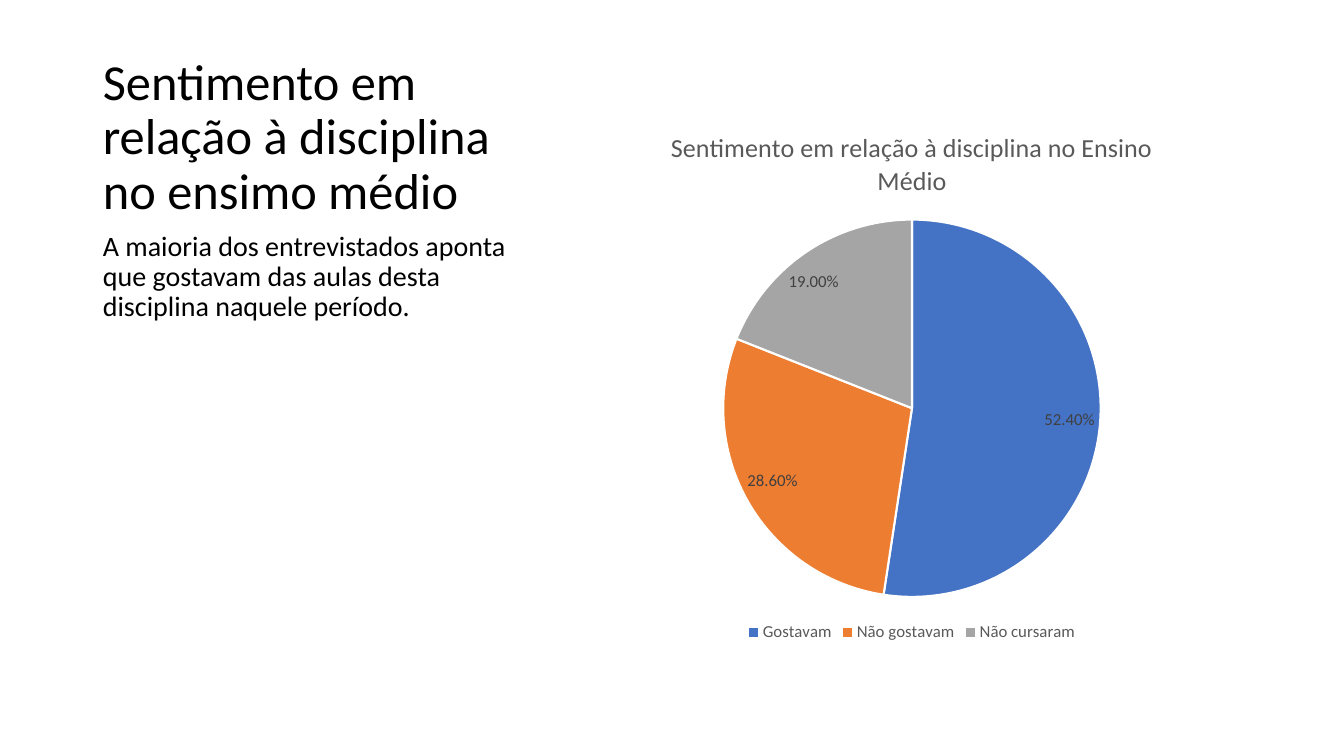
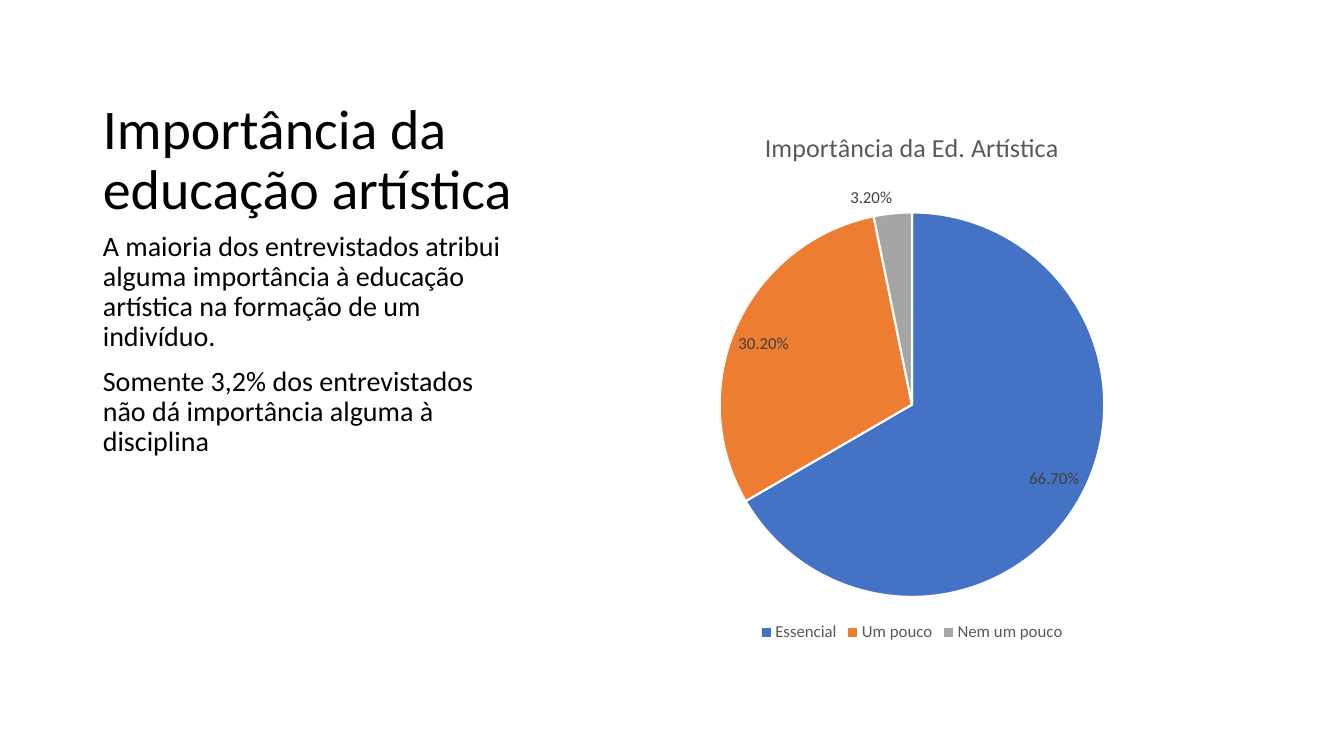
from dataclasses import dataclass

from pptx import Presentation
from pptx.chart.data import CategoryChartData
from pptx.dml.color import RGBColor
from pptx.enum.chart import XL_CHART_TYPE, XL_LABEL_POSITION, XL_LEGEND_POSITION
from pptx.enum.text import MSO_ANCHOR, MSO_AUTO_SIZE, PP_ALIGN
from pptx.util import Inches, Pt

PIE = XL_CHART_TYPE.PIE
BEST_FIT = XL_LABEL_POSITION.BEST_FIT
LEGEND_BOTTOM = XL_LEGEND_POSITION.BOTTOM
MIDDLE, BOTTOM, TOP = MSO_ANCHOR.MIDDLE, MSO_ANCHOR.BOTTOM, MSO_ANCHOR.TOP
LEFT = PP_ALIGN.LEFT
NO_AUTOFIT = MSO_AUTO_SIZE.NONE

SLIDES = [
    {
        "title": "Sentimento em relação à disciplina no ensimo médio",
        "title_size": 36,
        "title_anchor": MIDDLE,
        "body": [
            "A maioria dos entrevistados aponta que gostavam das aulas desta "
            "disciplina naquele período.",
        ],
        "chart_title": "Sentimento em relação à disciplina no Ensino Médio",
        "answers": {"Gostavam": 0.524, "Não gostavam": 0.286, "Não cursaram": 0.19},
    },
    {
        "title": "Importância da educação artística",
        "title_size": 40,
        "title_anchor": BOTTOM,
        "body": [
            "A maioria dos entrevistados atribui alguma importância à educação "
            "artística na formação de um indivíduo.",
            "Somente 3,2% dos entrevistados não dá importância alguma à disciplina",
        ],
        "chart_title": "Importância da Ed. Artística",
        "answers": {"Essencial": 0.667, "Um pouco": 0.302, "Nem um pouco": 0.032},
    },
]


@dataclass(frozen=True)
class Theme:
    font: str = "Calibri"
    text: str = "000000"
    chart_text: str = "595959"
    label_text: str = "404040"
    slice_border: str = "FFFFFF"
    slices: tuple = ("4472C4", "ED7D31", "A5A5A5")
    body_size: float = 20
    chart_size: float = 10
    chart_title_size: float = 18.6
    small_size: float = 12
    line_spacing: float = 0.9
    body_space: float = 10


THEME = Theme()
CAPTION_LAYOUT = 7
CONTENT_INDEX, BODY_INDEX = 1, 2
TITLE_BOX = (0.92, 0.5, 4.3, 1.75)
BODY_BOX = (0.92, 2.25, 4.3, 4.17)
CHART_BOX = (5.67, 1.08, 6.75, 5.33)


def inches(box):
    return [Inches(length) for length in box]


def style_font(font, size, color):
    font.name = THEME.font
    font.size = Pt(size)
    font.bold = False
    font.color.rgb = RGBColor.from_string(color)


def fill_placeholder(shape, box, paragraphs, size, anchor, space_before):
    shape.left, shape.top, shape.width, shape.height = inches(box)
    frame = shape.text_frame
    frame.text = "\n".join(paragraphs)
    frame.word_wrap = True
    frame.auto_size = NO_AUTOFIT
    frame.vertical_anchor = anchor
    for paragraph in frame.paragraphs:
        paragraph.alignment = LEFT
        paragraph.line_spacing = THEME.line_spacing
        paragraph.space_before = Pt(space_before)
        style_font(paragraph.font, size, THEME.text)


def add_pie(slide, title, answers):
    data = CategoryChartData(number_format="0.00%")
    data.categories = list(answers)
    data.add_series(title, list(answers.values()))
    chart = slide.shapes.add_chart(PIE, *inches(CHART_BOX), data).chart
    style_font(chart.font, THEME.chart_size, THEME.text)

    chart.has_title = True
    chart.chart_title.include_in_layout = False
    chart.chart_title.text_frame.text = title
    heading = chart.chart_title.text_frame.paragraphs[0]
    style_font(heading.font, THEME.chart_title_size, THEME.chart_text)

    chart.has_legend = True
    chart.legend.position = LEGEND_BOTTOM
    chart.legend.include_in_layout = False
    style_font(chart.legend.font, THEME.small_size, THEME.chart_text)

    plot = chart.plots[0]
    plot.vary_by_categories = True
    series = plot.series[0]
    for index, color in enumerate(THEME.slices):
        part = series.points[index].format
        part.fill.solid()
        part.fill.fore_color.rgb = RGBColor.from_string(color)
        part.line.color.rgb = RGBColor.from_string(THEME.slice_border)
        part.line.width = Pt(1.5)

    labels = series.data_labels
    labels.show_value = True
    labels.show_percentage = False
    labels.number_format = "0.00%"
    labels.number_format_is_linked = False
    labels.position = BEST_FIT
    style_font(labels.font, THEME.small_size, THEME.label_text)


def add_slide(presentation, content):
    slide = presentation.slides.add_slide(presentation.slide_layouts[CAPTION_LAYOUT])
    placeholders = {shape.placeholder_format.idx: shape for shape in slide.placeholders}
    unused = placeholders[CONTENT_INDEX].element
    unused.getparent().remove(unused)
    fill_placeholder(slide.shapes.title, TITLE_BOX, [content["title"]],
                     content["title_size"], content["title_anchor"], 0)
    fill_placeholder(placeholders[BODY_INDEX], BODY_BOX, content["body"],
                     THEME.body_size, TOP, THEME.body_space)
    add_pie(slide, content["chart_title"], content["answers"])


def main():
    presentation = Presentation()
    presentation.slide_width = Inches(13.33)
    presentation.slide_height = Inches(7.5)
    for content in SLIDES:
        add_slide(presentation, content)
    presentation.save("out.pptx")


if __name__ == "__main__":
    main()
